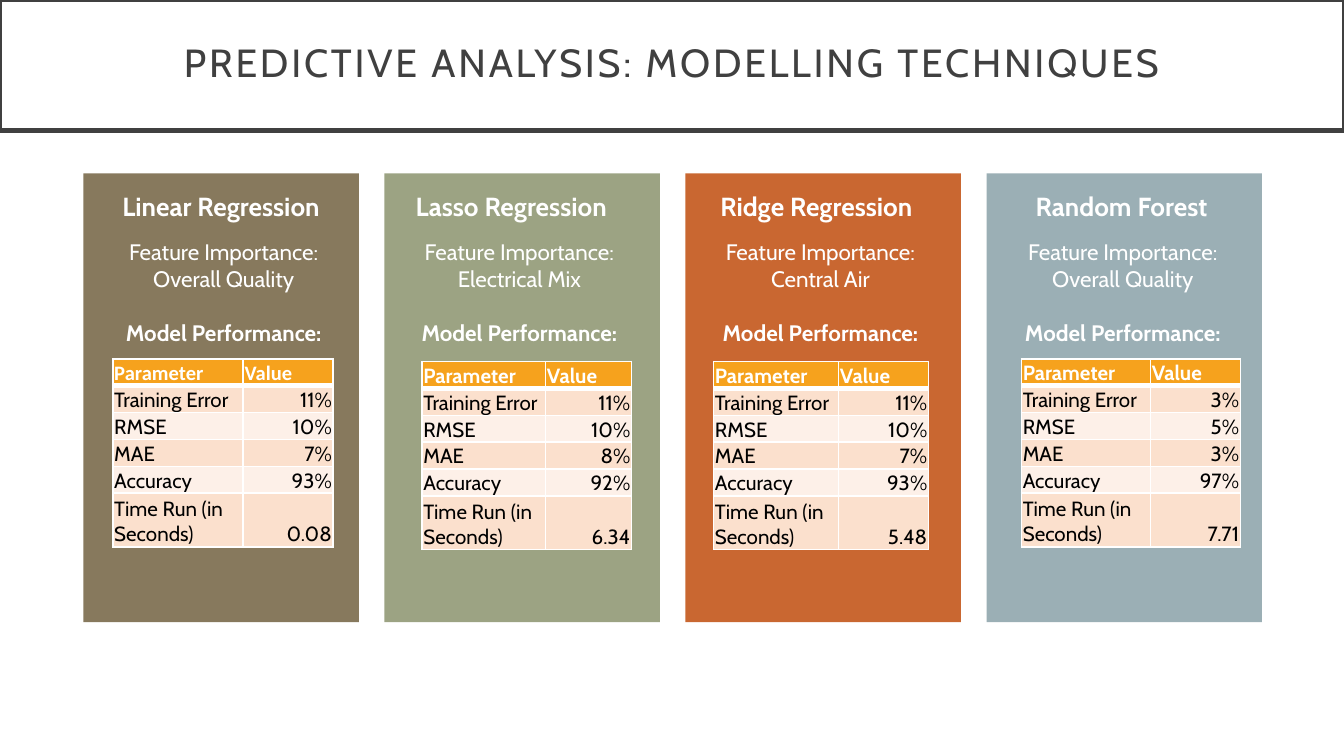
"""Build the slide that compares four predictive modelling techniques."""
import dataclasses
import typing

import lxml.etree
import pptx
import pptx.dml.color
import pptx.enum.shapes
import pptx.enum.text
import pptx.oxml.ns
import pptx.util

Inches = pptx.util.Inches
Pt = pptx.util.Pt
Align = pptx.enum.text.PP_ALIGN
Anchor = pptx.enum.text.MSO_ANCHOR


@dataclasses.dataclass(frozen=True)
class Theme:
    font: str = "Cabin"
    white: str = "FFFFFF"
    black: str = "000000"
    charcoal: str = "404040"
    header: str = "F6A21D"
    bands: tuple[str, str] = ("FBE0CD", "FDF0E8")
    title_size: float = 21
    name_size: float = 14
    body_size: float = 12
    table_size: float = 11


@dataclasses.dataclass(frozen=True)
class Model:
    name: str
    feature: str
    colour: str
    values: tuple[str, ...]
    name_left: float
    feature_left: float
    table_at: tuple[float, float]
    columns: tuple[float, float]
    header_font: str = "Cabin"


THEME = Theme()
PARAMETERS = ("Training Error", "RMSE", "MAE", "Accuracy", "Time Run (in Seconds)")
ROW_HEIGHTS = (0.2, 0.2, 0.2, 0.2, 0.2, 0.4)
CARD_LEFT, CARD_TOP, CARD_WIDTH, CARD_HEIGHT = 0.62, 1.29, 2.05, 3.34
CARD_PITCH = 2.24
TEXT_WIDTH = 2.01
MODELS = (
    Model("Linear Regression", "Overall Quality", "87795D",
          ("11%", "10%", "7%", "93%", "0.08"),
          0.64, 0.66, (0.84, 2.67), (0.97, 0.67), "Calibri"),
    Model("Lasso Regression", "Electrical Mix", "9CA383",
          ("11%", "10%", "8%", "92%", "6.34"),
          2.8, 2.86, (3.14, 2.69), (0.92, 0.64)),
    Model("Ridge Regression", "Central Air", "C96731",
          ("11%", "10%", "7%", "93%", "5.48"),
          5.07, 5.1, (5.31, 2.69), (0.93, 0.67)),
    Model("Random Forest", "Overall Quality", "9BAFB5",
          ("3%", "5%", "3%", "97%", "7.71"),
          7.34, 7.35, (7.6, 2.67), (0.96, 0.67)),
)


def rgb(colour: str) -> pptx.dml.color.RGBColor:
    return pptx.dml.color.RGBColor.from_string(colour)


def write(paragraph: typing.Any, text: str, size: float, colour: str,
          bold: bool = False, align: Align = Align.CENTER,
          font: str = THEME.font) -> None:
    paragraph.text = text
    paragraph.alignment = align
    for run in paragraph.runs:
        run.font.name = font
        run.font.size = Pt(size)
        run.font.bold = bold
        run.font.color.rgb = rgb(colour)


def add_panel(slide: typing.Any, left: float, top: float, width: float,
              height: float, fill: str) -> typing.Any:
    panel = slide.shapes.add_shape(
        pptx.enum.shapes.MSO_SHAPE.RECTANGLE,
        Inches(left), Inches(top), Inches(width), Inches(height))
    panel.shadow.inherit = False
    panel.fill.solid()
    panel.fill.fore_color.rgb = rgb(fill)
    panel.line.fill.background()
    return panel


def add_title(slide: typing.Any, text: str) -> None:
    banner = add_panel(slide, 0, 0, 10, 0.97, THEME.white)
    banner.line.color.rgb = rgb(THEME.charcoal)
    banner.line.width = Pt(2.5)
    frame = banner.text_frame
    frame.word_wrap = True
    frame.vertical_anchor = Anchor.MIDDLE
    frame.margin_left = frame.margin_right = Inches(0.2)
    frame.margin_top = frame.margin_bottom = Inches(0.2)
    heading = frame.paragraphs[0]
    write(heading, text, THEME.title_size, THEME.charcoal)
    heading.line_spacing = 0.9
    heading.runs[0].font._element.set("spc", "150")


def add_text(slide: typing.Any, left: float, top: float, height: float,
             anchor: Anchor) -> typing.Any:
    frame = slide.shapes.add_textbox(
        Inches(left), Inches(top), Inches(TEXT_WIDTH), Inches(height)).text_frame
    frame.word_wrap = True
    frame.vertical_anchor = anchor
    return frame


def set_borders(cell: typing.Any, top: float, bottom: float) -> None:
    properties = cell._tc.get_or_add_tcPr()
    widths = {"a:lnL": 1, "a:lnR": 1, "a:lnT": top, "a:lnB": bottom}
    for position, (side, width) in enumerate(widths.items()):
        border = lxml.etree.Element(pptx.oxml.ns.qn(side), w=str(Pt(width)))
        fill = lxml.etree.SubElement(border, pptx.oxml.ns.qn("a:solidFill"))
        lxml.etree.SubElement(fill, pptx.oxml.ns.qn("a:srgbClr"), val=THEME.white)
        properties.insert(position, border)


def add_performance(slide: typing.Any, model: Model) -> None:
    rows = [("Parameter", "Value"), *zip(PARAMETERS, model.values)]
    left, top = model.table_at
    table = slide.shapes.add_table(
        len(rows), 2, Inches(left), Inches(top),
        Inches(sum(model.columns)), Inches(sum(ROW_HEIGHTS))).table
    for column, width in zip(table.columns, model.columns):
        column.width = Inches(width)
    for r, (entries, height) in enumerate(zip(rows, ROW_HEIGHTS)):
        table.rows[r].height = Inches(height)
        is_header = r == 0
        for c, entry in enumerate(entries):
            cell = table.cell(r, c)
            cell.margin_left = cell.margin_right = cell.margin_top = Inches(0.01)
            cell.margin_bottom = Inches(0)
            cell.vertical_anchor = Anchor.BOTTOM
            cell.fill.solid()
            cell.fill.fore_color.rgb = rgb(
                THEME.header if is_header else THEME.bands[(r - 1) % 2])
            write(cell.text_frame.paragraphs[0], entry, THEME.table_size,
                  THEME.white if is_header else THEME.black, is_header,
                  Align.RIGHT if c and not is_header else Align.LEFT,
                  model.header_font if is_header else THEME.font)
            set_borders(cell, 3 if r == 1 else 1, 3 if is_header else 1)


def add_model(slide: typing.Any, model: Model) -> None:
    name = add_text(slide, model.name_left, 1.4, 0.27, Anchor.MIDDLE)
    write(name.paragraphs[0], model.name, THEME.name_size, THEME.white, True)
    summary = add_text(slide, model.feature_left, 1.72, 0.91, Anchor.TOP)
    write(summary.paragraphs[0], f"Feature Importance: {model.feature}",
          THEME.body_size, THEME.white)
    performance = summary.add_paragraph()
    write(performance, "Model Performance:", THEME.body_size, THEME.white, True)
    performance.space_before = Pt(14.5)
    add_performance(slide, model)


def main() -> None:
    deck = pptx.Presentation()
    deck.slide_width = Inches(10)
    deck.slide_height = deck.slide_width * 9 // 16
    slide = deck.slides.add_slide(deck.slide_layouts[6])
    for index, model in enumerate(MODELS):
        add_panel(slide, CARD_LEFT + index * CARD_PITCH, CARD_TOP,
                  CARD_WIDTH, CARD_HEIGHT, model.colour)
    add_title(slide, "PREDICTIVE ANALYSIS: MODELLING TECHNIQUES")
    for model in MODELS:
        add_model(slide, model)
    deck.save("out.pptx")


if __name__ == "__main__":
    main()
